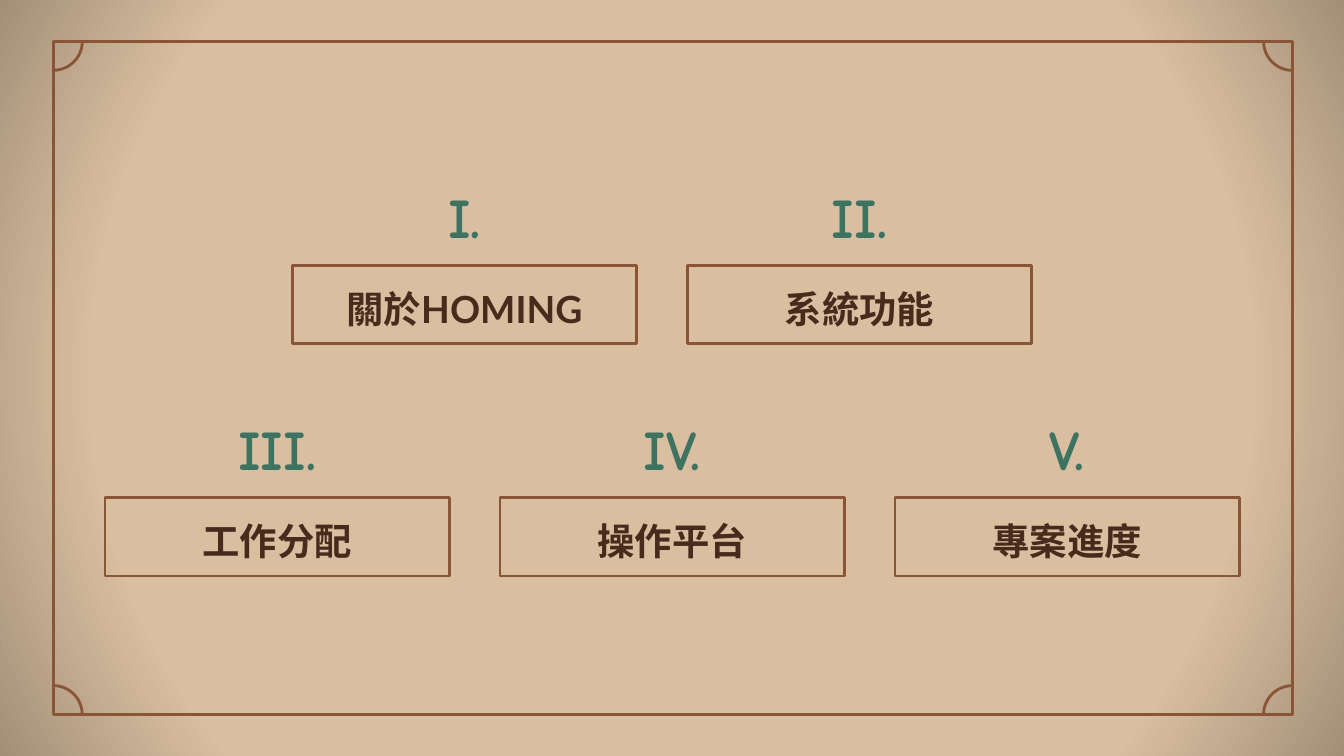
import dataclasses

import lxml.etree
import pptx
import pptx.dml.color
import pptx.enum.shapes
import pptx.enum.text
import pptx.oxml.ns
import pptx.util

Pt = pptx.util.Pt
qn = pptx.oxml.ns.qn
Shape = pptx.enum.shapes.MSO_SHAPE
Anchor = pptx.enum.text.MSO_ANCHOR


@dataclasses.dataclass(frozen=True)
class Theme:
    paper: str = "D9BFA0"
    vignette: str = "A38F78"
    border: str = "8A5437"
    heading: str = "472C1D"
    numeral: str = "3E7362"
    heading_font: str = "Lato"
    numeral_font: str = "Comic Neue"
    heading_size: float = 20
    numeral_size: float = 30
    border_width: float = 1.5


def rgb(value):
    return pptx.dml.color.RGBColor.from_string(value)


def write_text(holder, text, *, font, size, color, anchor):
    frame = holder.text_frame
    frame.word_wrap = True
    frame.auto_size = pptx.enum.text.MSO_AUTO_SIZE.NONE
    frame.vertical_anchor = anchor
    frame.margin_left = frame.margin_right = Pt(7.2)
    frame.margin_top = frame.margin_bottom = Pt(7.2)
    paragraph = frame.paragraphs[0]
    paragraph.alignment = pptx.enum.text.PP_ALIGN.CENTER
    paragraph.line_spacing = 0.8
    run = paragraph.add_run()
    run.text = text
    run.font.size = Pt(size)
    run.font.bold = True
    run.font.color.rgb = rgb(color)
    run.font.name = font
    properties = run.font._element
    lxml.etree.SubElement(properties, qn("a:ea"), typeface=font)


class Agenda:
    def __init__(self, slide, theme):
        self.slide = slide
        self.theme = theme

    def background(self):
        self.slide.background.fill.gradient()
        gradient = self.slide.element.xpath(".//p:bgPr/a:gradFill")[0]
        for child in list(gradient):
            gradient.remove(child)
        stops = lxml.etree.SubElement(gradient, qn("a:gsLst"))
        paper, vignette = self.theme.paper, self.theme.vignette
        for percent, color in ((0, paper), (50, paper), (75, paper), (100, vignette)):
            stop = lxml.etree.SubElement(stops, qn("a:gs"), pos=str(percent * 1000))
            lxml.etree.SubElement(stop, qn("a:srgbClr"), val=color)
        circle = lxml.etree.SubElement(gradient, qn("a:path"), path="circle")
        lxml.etree.SubElement(
            circle, qn("a:fillToRect"), l="50000", t="50000", r="50000", b="50000"
        )

    def border(self, element):
        element.fill.background()
        element.line.color.rgb = rgb(self.theme.border)
        element.line.width = Pt(self.theme.border_width)

    def outline(self, kind, left, top, width, height, rotation=0):
        ornament = self.slide.shapes.add_shape(
            kind, Pt(left), Pt(top), Pt(width), Pt(height)
        )
        ornament.shadow.inherit = False
        ornament.rotation = rotation
        self.border(ornament)

    def frame(self, left, top, width, height, corner):
        self.outline(Shape.RECTANGLE, left, top, width, height)
        right, bottom = left + width, top + height
        corners = ((left, top, 90), (right, top, 180), (right, bottom, 270), (left, bottom, 0))
        for x, y, rotation in corners:
            self.outline(
                Shape.ARC, x - corner / 2, y - corner / 2, corner, corner, rotation
            )

    def text_box(self, left, top, width, height):
        return self.slide.shapes.add_textbox(Pt(left), Pt(top), Pt(width), Pt(height))

    def heading(self, text, left, top, width, height):
        title = self.slide.shapes.title
        if title.has_text_frame and not title.text_frame.text:
            heading = title
            heading.left, heading.top = Pt(left), Pt(top)
            heading.width, heading.height = Pt(width), Pt(height)
        else:
            heading = self.text_box(left, top, width, height)
        self.border(heading)
        write_text(
            heading, text, font=self.theme.heading_font, size=self.theme.heading_size,
            color=self.theme.heading, anchor=Anchor.BOTTOM,
        )

    def numeral(self, text, left, top, width, height):
        write_text(
            self.text_box(left, top, width, height), text,
            font=self.theme.numeral_font, size=self.theme.numeral_size,
            color=self.theme.numeral, anchor=Anchor.MIDDLE,
        )

    def section_row(self, sections, left, top):
        width, height, pitch = 184.4, 42, 211.6
        numeral_width, numeral_height = 82, 46.6
        for column, (number, name) in enumerate(sections):
            x = left + column * pitch
            self.heading(name, x, top, width, height)
            self.numeral(
                number, x + (width - numeral_width) / 2, top - numeral_height,
                numeral_width, numeral_height,
            )


def main():
    presentation = pptx.Presentation()
    presentation.slide_width, presentation.slide_height = Pt(720), Pt(405)
    slide = presentation.slides.add_slide(presentation.slide_layouts[5])
    agenda = Agenda(slide, Theme())
    agenda.background()
    agenda.frame(28.6, 22.2, 663.8, 360.6, corner=31)
    agenda.section_row((("I.", "關於HOMING"), ("II.", "系統功能")), 156.7, 142.2)
    agenda.section_row(
        (("III.", "工作分配"), ("IV.", "操作平台"), ("V.", "專案進度")), 56.3, 266.6
    )
    presentation.save("out.pptx")


if __name__ == "__main__":
    main()
